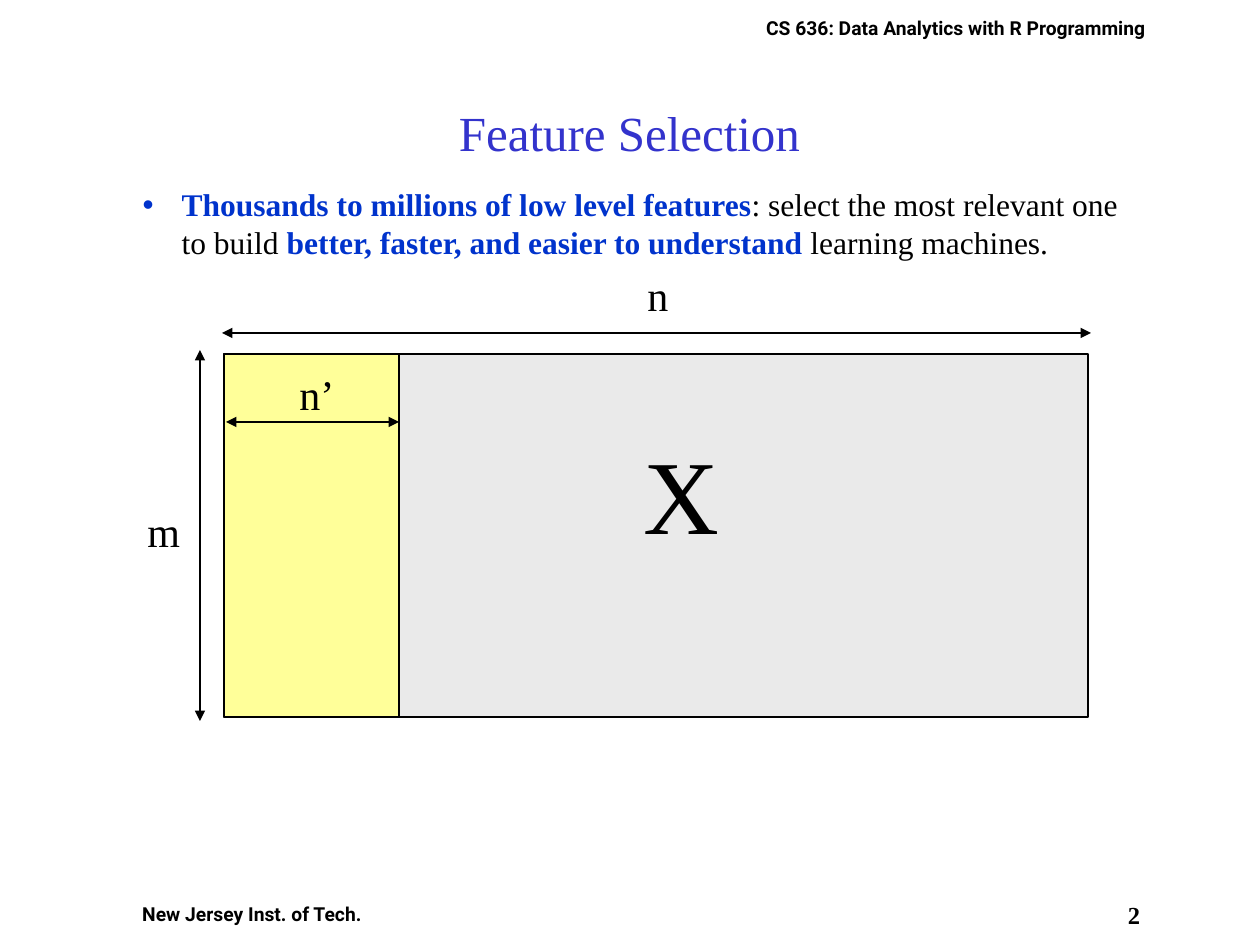
"""Build the Feature Selection slide."""
from lxml import etree
from pptx import Presentation
from pptx.dml.color import RGBColor
from pptx.enum.shapes import MSO_CONNECTOR, MSO_SHAPE
from pptx.enum.text import MSO_ANCHOR, MSO_AUTO_SIZE, PP_ALIGN
from pptx.oxml.ns import qn
from pptx.util import Emu, Inches, Pt

RECT, STRAIGHT = MSO_SHAPE.RECTANGLE, MSO_CONNECTOR.STRAIGHT
TOP, MIDDLE = MSO_ANCHOR.TOP, MSO_ANCHOR.MIDDLE
LEFT, CENTER = PP_ALIGN.LEFT, PP_ALIGN.CENTER
NO_FIT = MSO_AUTO_SIZE.NONE
SERIF, SANS = "Times New Roman", "Roboto"
BLACK, WHITE, BLUE = "000000", "FFFFFF", "0033CC"
PX = 914400 / 126


def rgb(color):
    return RGBColor.from_string(color)


def add_run(p, text, size, color=BLACK, bold=False, font=SERIF):
    r = p.add_run()
    r.text = text
    r.font.size, r.font.name, r.font.bold = Pt(size), font, bold
    r.font.color.rgb = rgb(color)


prs = Presentation()
prs.slide_width, prs.slide_height = Inches(10), Inches(7.5)
slide = prs.slides.add_slide(prs.slide_layouts[1])
shapes = slide.shapes
title, body = shapes.title, slide.placeholders[1]

for sp, box, anchor, align in [
    (title, (94, 53, 1071, 158), MIDDLE, CENTER),
    (body, (67, 179, 1071, 522), TOP, LEFT),
]:
    sp.left, sp.top, sp.width, sp.height = [Emu(round(v * PX)) for v in box]
    tf = sp.text_frame
    tf.auto_size, tf.vertical_anchor = NO_FIT, anchor
    tf.paragraphs[0].alignment = align
    tf.paragraphs[0].space_before = Pt(0)

add_run(title.text_frame.paragraphs[0], "Feature Selection", 28, "3333CC")

p = body.text_frame.paragraphs[0]
pPr = p._p.get_or_add_pPr()
pPr.set("marL", str(Inches(0.81)))
pPr.set("indent", str(Inches(-0.31)))
bullet_color = etree.SubElement(pPr, qn("a:buClr"))
etree.SubElement(bullet_color, qn("a:srgbClr"), val=BLUE)
etree.SubElement(pPr, qn("a:buChar"), char="•")
for text, key in [
    ("Thousands to millions of low level features", True),
    (": select the most relevant one to build ", False),
    ("better, faster, and easier to understand", True),
    (" learning machines.", False),
]:
    add_run(p, text, 18, BLUE if key else BLACK, key)

for text, box, inset, size, font in [
    ("2", (1113, 900, 42, 45), 0, 14, SERIF),
    ("New Jersey Inst. of Tech.", (105, 896, 294, 37), 6, 11, SANS),
    ("CS 636: Data Analytics with R Programming", (733, 10, 446, 37), 6, 11, SANS),
]:
    sp = shapes.add_textbox(*[Emu(round(v * PX)) for v in box])
    sp.fill.solid()
    sp.fill.fore_color.rgb = rgb(WHITE)
    tf = sp.text_frame
    tf.word_wrap = True
    tf.margin_left = tf.margin_right = Emu(round(inset * PX))
    tf.margin_top = tf.margin_bottom = Emu(round(inset * PX))
    tf.paragraphs[0].alignment = CENTER
    add_run(tf.paragraphs[0], text, size, bold=True, font=font)

matrix = shapes
subset = shapes.add_group_shape().shapes

for parent, box, color in [
    (matrix, (224, 354, 864, 363), "EAEAEA"),
    (subset, (224, 354, 175, 363), "FFFF99"),
]:
    sp = parent.add_shape(RECT, *[Emu(round(v * PX)) for v in box])
    sp.shadow.inherit = False
    sp.fill.solid()
    sp.fill.fore_color.rgb = rgb(color)
    sp.line.color.rgb = rgb(BLACK)
    sp.line.width = Pt(0.75)
    if parent is matrix:
        shapes._spTree.remove(sp._element)
        shapes._spTree.insert(2, sp._element)

for parent, ends in [
    (matrix, (222, 333, 1091, 333)),
    (matrix, (200, 350, 200, 721)),
    (subset, (226, 422, 399, 422)),
]:
    line = parent.add_connector(STRAIGHT, *[Emu(round(v * PX)) for v in ends])
    line.line.color.rgb = rgb(BLACK)
    line.line.width = Pt(0.75)
    ln = line.line._get_or_add_ln()
    for end in ("a:headEnd", "a:tailEnd"):
        etree.SubElement(ln, qn(end), type="triangle")
    etree.SubElement(line._element.spPr, qn("a:effectLst"))

for parent, text, box, size in [
    (matrix, "X", (631, 423, 280, 139), 60),
    (matrix, "n", (635, 263, 45, 63), 24),
    (matrix, "m", (135, 499, 58, 63), 24),
    (subset, "n’", (287, 362, 60, 63), 24),
]:
    sp = parent.add_textbox(*[Emu(round(v * PX)) for v in box])
    sp.text_frame.word_wrap = False
    add_run(sp.text_frame.paragraphs[0], text, size)

prs.save("out.pptx")
